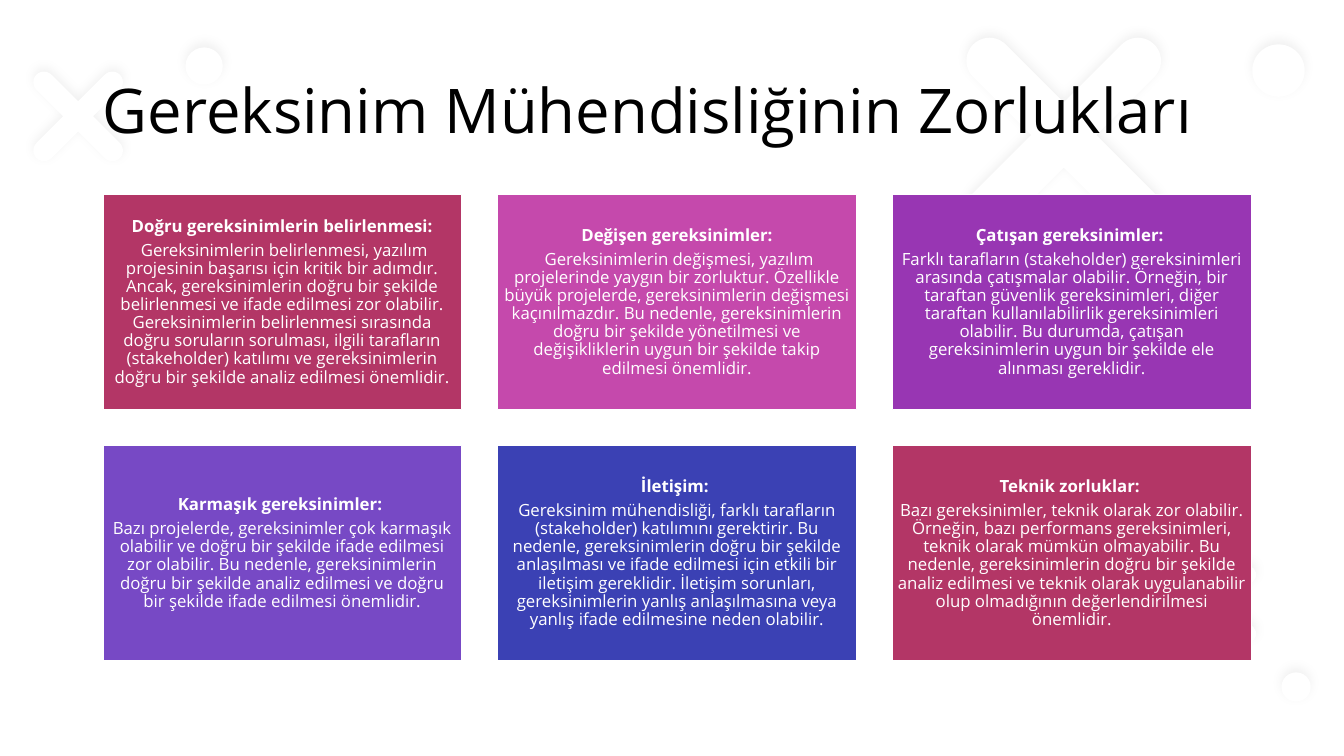
import math

import pptx
import pptx.dml.color
import pptx.enum.shapes
import pptx.enum.text
import pptx.oxml
import pptx.oxml.ns
import pptx.util
from pptx.util import Inches

FONT = "Open Sans"
TITLE = "Gereksinim Mühendisliğinin Zorlukları"
# Fill, heading, lead-in of the body (set bold like the heading), body
CHALLENGES = [
    ("B33666", "Doğru gereksinimlerin belirlenmesi:", " ",
     "Gereksinimlerin belirlenmesi, yazılım projesinin başarısı için kritik bir adımdır. "
     "Ancak, gereksinimlerin doğru bir şekilde belirlenmesi ve ifade edilmesi zor olabilir. "
     "Gereksinimlerin belirlenmesi sırasında doğru soruların sorulması, ilgili tarafların "
     "(stakeholder) katılımı ve gereksinimlerin doğru bir şekilde analiz edilmesi önemlidir."),
    ("C549AC", "Değişen gereksinimler:", " ",
     "Gereksinimlerin değişmesi, yazılım projelerinde yaygın bir zorluktur. Özellikle büyük "
     "projelerde, gereksinimlerin değişmesi kaçınılmazdır. Bu nedenle, gereksinimlerin doğru "
     "bir şekilde yönetilmesi ve değişikliklerin uygun bir şekilde takip edilmesi önemlidir."),
    ("9836B3", "Çatışan gereksinimler: ", "",
     "Farklı tarafların (stakeholder) gereksinimleri arasında çatışmalar olabilir. Örneğin, "
     "bir taraftan güvenlik gereksinimleri, diğer taraftan kullanılabilirlik gereksinimleri "
     "olabilir. Bu durumda, çatışan gereksinimlerin uygun bir şekilde ele alınması gereklidir."),
    ("7749C5", "Karmaşık gereksinimler: ", "",
     "Bazı projelerde, gereksinimler çok karmaşık olabilir ve doğru bir şekilde ifade edilmesi "
     "zor olabilir. Bu nedenle, gereksinimlerin doğru bir şekilde analiz edilmesi ve doğru bir "
     "şekilde ifade edilmesi önemlidir."),
    ("3B41B4", "İletişim: ", "",
     "Gereksinim mühendisliği, farklı tarafların (stakeholder) katılımını gerektirir. Bu "
     "nedenle, gereksinimlerin doğru bir şekilde anlaşılması ve ifade edilmesi için etkili bir "
     "iletişim gereklidir. İletişim sorunları, gereksinimlerin yanlış anlaşılmasına veya yanlış "
     "ifade edilmesine neden olabilir."),
    ("B33666", "Teknik zorluklar: ", "",
     "Bazı gereksinimler, teknik olarak zor olabilir. Örneğin, bazı performans gereksinimleri, "
     "teknik olarak mümkün olmayabilir. Bu nedenle, gereksinimlerin doğru bir şekilde analiz "
     "edilmesi ve teknik olarak uygulanabilir olup olmadığının değerlendirilmesi önemlidir."),
]
# Decoration: left, top, span
CROSSES = [(0.19, 0.57, 1.17), (9.28, 0.07, 2.54), (11.57, 5.49, 1.01)]
DISCS = [(12.71, 6.67, 0.29), (12.42, 0.44, 0.52), (1.84, 0.47, 0.37)]

# Card grid: the gap is a tenth of the card width both ways
COLUMNS = 3
LEFT, TOP = 1.02, 1.93
CARD_WIDTH = 3.56
CARD_HEIGHT = 0.6 * CARD_WIDTH
GAP = 0.1 * CARD_WIDTH

NAMESPACE = 'xmlns:a="http://schemas.openxmlformats.org/drawingml/2006/main"'
SHADOW = (
    f'<a:effectLst {NAMESPACE}>'
    '<a:outerShdw blurRad="101600" dist="38100" dir="16200000" algn="ctr" rotWithShape="0">'
    '<a:srgbClr val="000000"><a:alpha val="5000"/></a:srgbClr>'
    '</a:outerShdw></a:effectLst>')


def color(value):
    return pptx.dml.color.RGBColor.from_string(value)


def fill_shape(shape, value):
    shape.fill.solid()
    shape.fill.fore_color.rgb = color(value)


def write(paragraph, text, size=12, ink="FFFFFF", bold=False, align="CENTER", before=0):
    paragraph.alignment = getattr(pptx.enum.text.PP_ALIGN, align)
    paragraph.line_spacing = 0.9
    paragraph.space_before = pptx.util.Pt(before)
    run = paragraph.add_run()
    run.text = text
    run.font.name = FONT
    run.font.size = pptx.util.Pt(size)
    run.font.bold = bold
    run.font.color.rgb = color(ink)


def set_frame(frame, horizontal, vertical):
    frame.word_wrap = True
    frame.auto_size = pptx.enum.text.MSO_AUTO_SIZE.NONE
    frame.vertical_anchor = pptx.enum.text.MSO_ANCHOR.MIDDLE
    frame.margin_left = frame.margin_right = Inches(horizontal)
    frame.margin_top = frame.margin_bottom = Inches(vertical)


def soften(shape):
    """White, lineless shape with a faint shadow."""
    fill_shape(shape, "FFFFFF")
    shape.line.fill.background()
    shape.element.spPr.append(pptx.oxml.parse_xml(SHADOW))


def add_cross(slide, left, top, span):
    """Plus with round ends, turned by 45 degrees."""
    half, radius = span / 2, 0.18 * span / 2
    # One arm pointing right: cap start, tip, cap end, inner corner
    arm = [(half - radius, -radius), (half, 0), (half - radius, radius), (radius, radius)]
    points = []
    for quarter in range(4):
        cosine, sine = [(1, 0), (0, 1), (-1, 0), (0, -1)][quarter]
        points += [(Inches(left + half + x * cosine - y * sine),
                    Inches(top + half + x * sine + y * cosine)) for x, y in arm]
    builder = slide.shapes.build_freeform(*points[0])
    builder.add_line_segments(points[1:], close=True)
    cross = builder.convert_to_shape()

    # Round each cap with two quarter arcs
    lines = list(cross.element.iter(pptx.oxml.ns.qn("a:lnTo")))
    for quarter in range(4):
        for step in range(2):
            start = (270 + 90 * (quarter + step)) % 360 * 60000
            arc = pptx.oxml.parse_xml(
                f'<a:arcTo {NAMESPACE} wR="{Inches(radius)}" hR="{Inches(radius)}" '
                f'stAng="{start}" swAng="5400000"/>')
            line = lines[4 * quarter + step]
            line.getparent().replace(line, arc)
    cross.rotation = 45
    soften(cross)


def add_card(slide, index, fill, heading, lead, body):
    row, column = divmod(index, COLUMNS)
    card = slide.shapes.add_shape(
        pptx.enum.shapes.MSO_SHAPE.RECTANGLE,
        Inches(LEFT + column * (CARD_WIDTH + GAP)), Inches(TOP + row * (CARD_HEIGHT + GAP)),
        Inches(CARD_WIDTH), Inches(CARD_HEIGHT))
    card.shadow.inherit = False
    fill_shape(card, fill)
    card.line.color.rgb = color("FFFFFF")
    card.line.width = pptx.util.Pt(1)
    set_frame(card.text_frame, 0.05, 0.05)
    write(card.text_frame.paragraphs[0], heading, bold=True)
    paragraph = card.text_frame.add_paragraph()
    if lead:
        write(paragraph, lead, bold=True, before=4.2)
    write(paragraph, body, before=4.2)


def main():
    presentation = pptx.Presentation()
    presentation.slide_width, presentation.slide_height = Inches(13.33), Inches(7.5)
    slide = presentation.slides.add_slide(presentation.slide_layouts[5])

    # Background decoration
    for cross in CROSSES:
        add_cross(slide, *cross)
    for left, top, diameter in DISCS:
        disc = slide.shapes.add_shape(
            pptx.enum.shapes.MSO_SHAPE.OVAL,
            Inches(left), Inches(top), Inches(diameter), Inches(diameter))
        disc.rotation = 180
        soften(disc)

    # Title, brought in front of the decoration
    title = slide.shapes.title
    title.element.getparent().append(title.element)
    title.left, title.top = Inches(0.92), Inches(0.4)
    title.width, title.height = Inches(11.5), Inches(1.45)
    set_frame(title.text_frame, 0.1, 0.05)
    write(title.text_frame.paragraphs[0], TITLE, size=44, ink="000000", align="LEFT")

    # Cards
    for index, challenge in enumerate(CHALLENGES):
        add_card(slide, index, *challenge)

    presentation.save("out.pptx")


if __name__ == "__main__":
    main()
